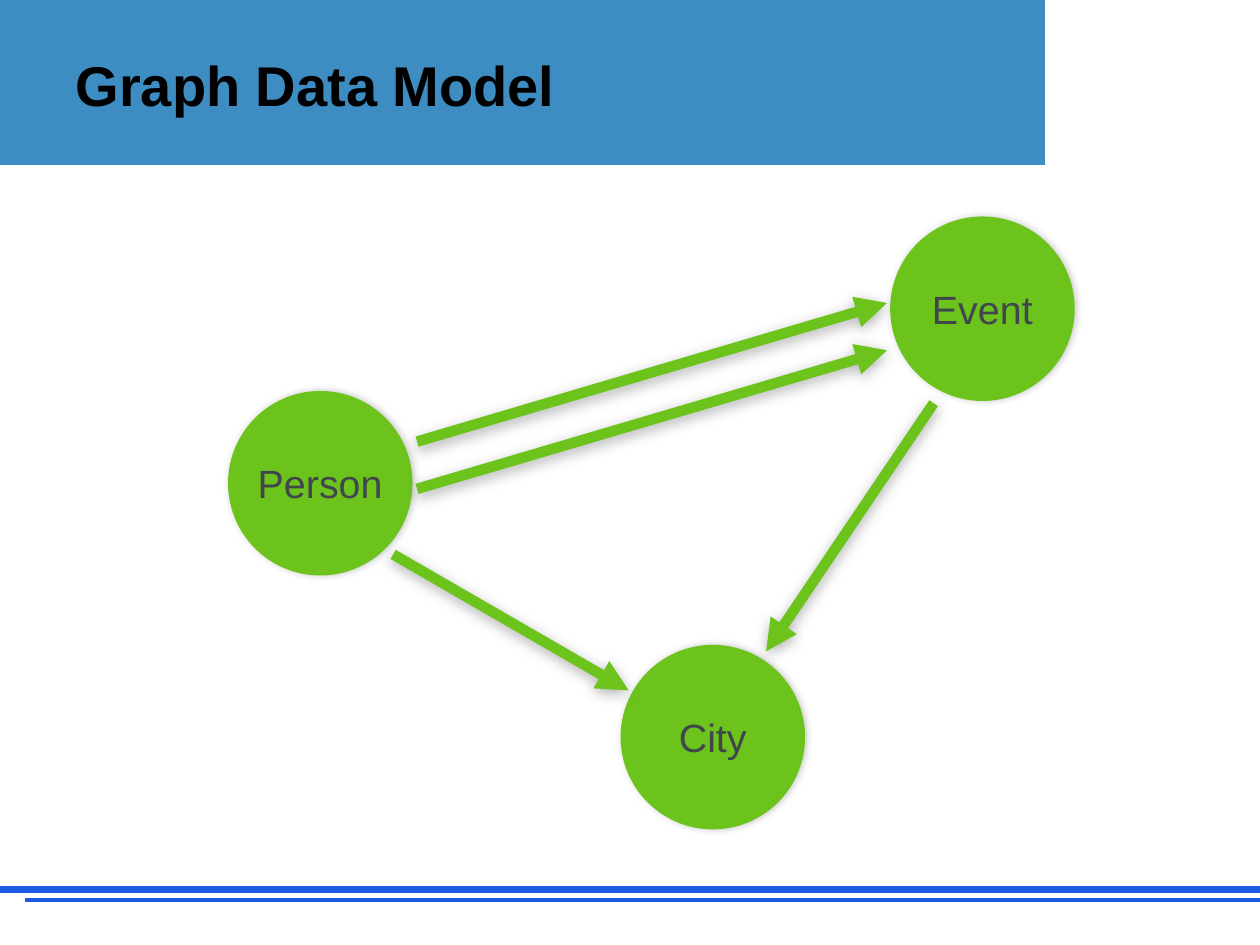
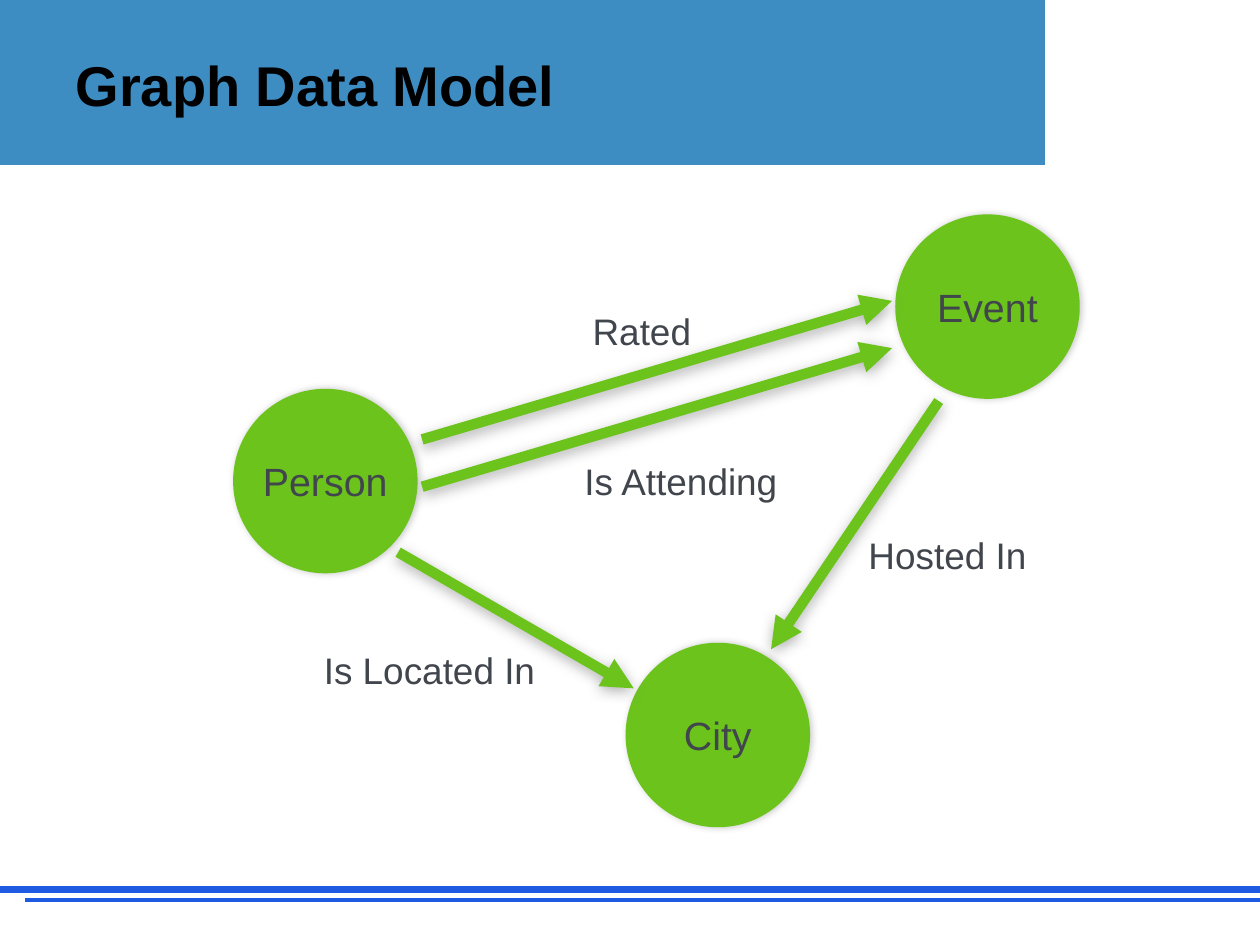
import pptx
import pptx.util
import pptx.dml.color
import pptx.enum.shapes
import pptx.enum.text
import pptx.oxml.ns
import lxml.etree

COLORS = {
    "band": "3D8DC3",
    "rule": "1E5BE2",
    "paper": "FFFFFF",
    "title": "000000",
    "node": "6BC31C",
    "text": "41454C",
    "shadow": "969696",
}
FONT = "Arial"
COLUMNS, ROWS = 100, 75
NODE_SIZE = 14.64
NODES = {"Person": (18.1, 31.03), "City": (49.25, 51.18), "Event": (70.65, 17.18)}
ATTENDING = (33.1, 38.8, 70.4, 27.8)
RATED_RISE = 3.75
EDGES = [
    ATTENDING,
    (74.1, 32, 60.8, 51.7),
    (31.2, 44, 49.9, 54.8),
    (33.1, 38.8 - RATED_RISE, 70.4, 27.8 - RATED_RISE),
]
LABELS = {
    "Is Attending": (45.3, 36, 17.5),
    "Hosted In": (68.4, 41.9, 13.6),
    "Is Located In": (25.1, 51, 18),
    "Rated": (46.6, 24.1, 8.7),
}


class Deck:
    def __init__(self):
        self.prs = pptx.Presentation()
        self.prs.slide_width = pptx.util.Inches(10)
        self.prs.slide_height = pptx.util.Inches(7.5)
        self.layout = self.prs.slide_layouts[5]
        self.s = None

    def x(self, columns):
        return round(self.prs.slide_width * columns / COLUMNS)

    def y(self, rows):
        return round(self.prs.slide_height * rows / ROWS)

    def box(self, left, top, width, height):
        return self.x(left), self.y(top), self.x(width), self.y(height)

    def rgb(self, name):
        return pptx.dml.color.RGBColor.from_string(COLORS[name])

    def effects(self, sp, opacity=0, blur=0, distance=0, angle=0):
        qn = pptx.oxml.ns.qn
        effects = lxml.etree.SubElement(sp.element.spPr, qn("a:effectLst"))
        if opacity:
            shadow = lxml.etree.SubElement(
                effects, qn("a:outerShdw"),
                blurRad=str(pptx.util.Pt(blur)), dist=str(pptx.util.Pt(distance)),
                dir=str(angle * 60000), rotWithShape="0")
            color = lxml.etree.SubElement(shadow, qn("a:srgbClr"), val=COLORS["shadow"])
            lxml.etree.SubElement(color, qn("a:alpha"), val=str(opacity * 1000))

    def shape(self, kind, box, fill, outline=0):
        sp = self.s.shapes.add_shape(kind, *self.box(*box))
        sp.fill.solid()
        sp.fill.fore_color.rgb = self.rgb(fill)
        if outline:
            sp.line.color.rgb = self.rgb(fill)
            sp.line.width = pptx.util.Pt(outline)
        else:
            sp.line.fill.background()
        return sp

    def rectangle(self, box, fill, outline=0):
        sp = self.shape(pptx.enum.shapes.MSO_SHAPE.RECTANGLE, box, fill, outline)
        self.effects(sp)
        return sp

    def line(self, x1, y1, x2, y2, color, width):
        sp = self.s.shapes.add_connector(
            pptx.enum.shapes.MSO_CONNECTOR.STRAIGHT,
            self.x(x1), self.y(y1), self.x(x2), self.y(y2))
        sp.line.color.rgb = self.rgb(color)
        sp.line.width = pptx.util.Pt(width)
        return sp

    def rule(self, left, top, width):
        sp = self.line(left, top, COLUMNS, top, "rule", width)
        self.effects(sp)
        return sp

    def arrow(self, x1, y1, x2, y2):
        qn = pptx.oxml.ns.qn
        sp = self.line(x1, y1, x2, y2, "node", 6)
        ln = sp.element.spPr.find(qn("a:ln"))
        lxml.etree.SubElement(ln, qn("a:tailEnd"), type="triangle")
        self.effects(sp, opacity=75, blur=8, distance=2, angle=90)

    def text(self, sp, text, size, color="text", bold=False, centred=True):
        tf = sp.text_frame
        tf.text = text
        tf.word_wrap = True
        tf.auto_size = pptx.enum.text.MSO_AUTO_SIZE.NONE
        tf.vertical_anchor = pptx.enum.text.MSO_ANCHOR.MIDDLE
        p = tf.paragraphs[0]
        align = pptx.enum.text.PP_ALIGN
        p.alignment = align.CENTER if centred else align.LEFT
        if centred:
            tf.margin_left = tf.margin_right = tf.margin_top = tf.margin_bottom = 0
        for r in p.runs:
            r.font.name = FONT
            r.font.size = pptx.util.Pt(size)
            r.font.bold = bold
            r.font.color.rgb = self.rgb(color)

    def node(self, name, left, top):
        sp = self.shape(pptx.enum.shapes.MSO_SHAPE.OVAL,
                        (left, top, NODE_SIZE, NODE_SIZE), "node")
        self.effects(sp, opacity=50, blur=4, distance=1)
        self.text(sp, name, 22.5)

    def label(self, text, left, top, width):
        sp = self.s.shapes.add_textbox(*self.box(left, top, width, 4.3))
        self.text(sp, text, 21.1)
        sp.text_frame.word_wrap = False

    def frame(self):
        parts = [
            self.rectangle((0, 0, COLUMNS, 13.1), "band"),
            self.rule(0, 70.6, 4.5),
            self.rule(2, 71.4, 2.25),
            self.rectangle((83.1, 0, 16.9, 13.9), "paper", 2),
        ]
        for sp in parts:
            self.layout.shapes.element.append(sp.element)

    def slide(self, title):
        first = self.s is None
        self.s = self.prs.slides.add_slide(self.layout)
        if first:
            self.frame()
        sp = self.s.shapes.title
        sp.left, sp.top, sp.width, sp.height = self.box(5, 1.3, 68.6, 10.8)
        self.text(sp, title, 32, "title", bold=True, centred=False)

    def graph(self, dx=0, dy=0):
        for name, (left, top) in NODES.items():
            self.node(name, left + dx, top + dy)
        for x1, y1, x2, y2 in EDGES:
            self.arrow(x1 + dx, y1 + dy, x2 + dx, y2 + dy)


def main():
    deck = Deck()
    deck.slide("Graph Data Model")
    deck.graph()
    deck.slide("Graph Data Model")
    deck.graph(0.4, -0.17)
    for text, place in LABELS.items():
        deck.label(text, *place)
    deck.prs.save("out.pptx")


if __name__ == "__main__":
    main()
